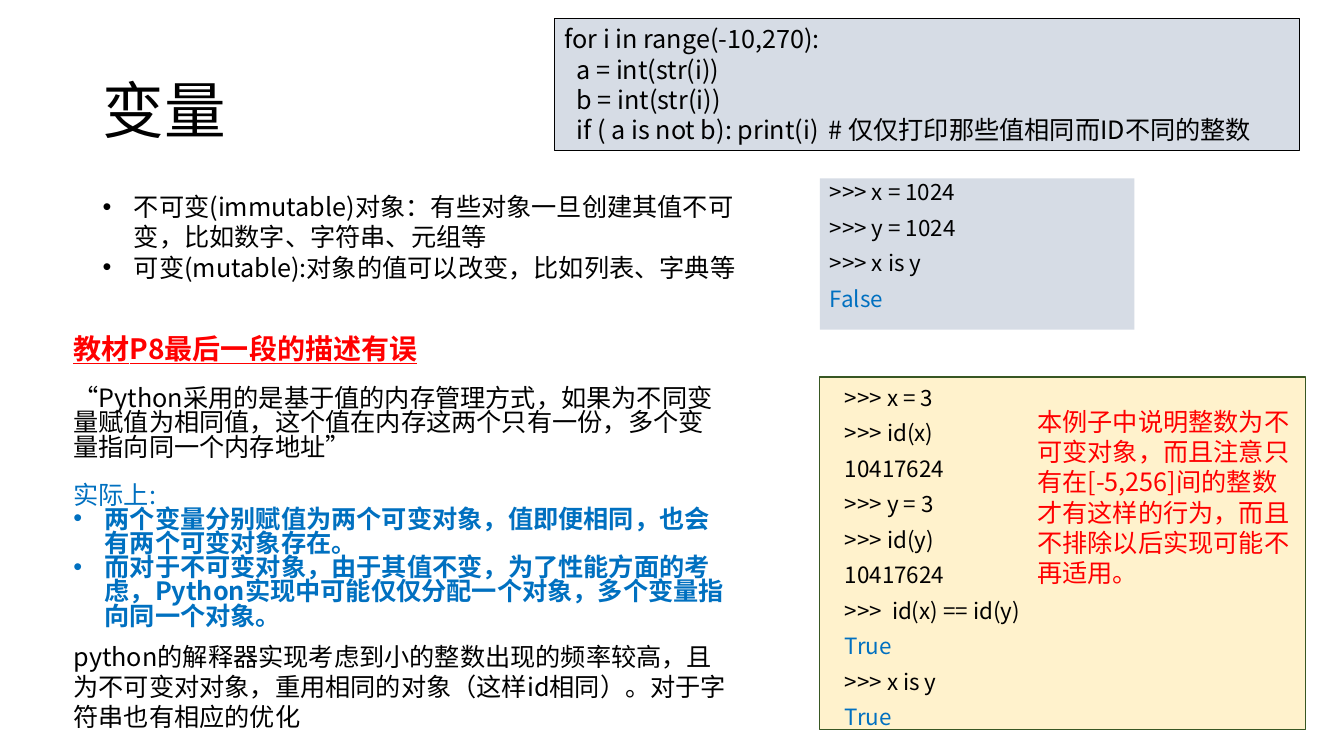
from dataclasses import dataclass
from typing import Optional

from lxml import etree
from pptx import Presentation
from pptx import util as u
from pptx.dml.color import RGBColor
from pptx.enum import shapes, text
from pptx.oxml.ns import qn

FONT = "Noto Sans CJK SC"
BLACK = RGBColor(0x00, 0x00, 0x00)
RED = RGBColor(0xFF, 0x00, 0x00)
BLUE = RGBColor(0x00, 0x70, 0xC0)
GREY = RGBColor(0xD6, 0xDC, 0xE5)
CREAM = RGBColor(0xFF, 0xF2, 0xCC)
GREEN = RGBColor(0x38, 0x57, 0x23)

WIDTH, HEIGHT = u.Inches(13.33), u.Inches(7.5)
BULLET_INDENT = u.Inches(0.31)
BODY_WIDTH = 50.04  # width of the left column, percent of the slide
LEFT, RIGHT = 4.73, 61  # left edges of the two columns, percent


@dataclass
class Para:
    text: str
    size: float = 18
    color: RGBColor = BLACK
    bold: bool = False
    underline: bool = False
    bullet: bool = False
    spacing: float = 1.0
    before: float = 0
    indent: float = 0  # inches
    tab: Optional[float] = None  # inches


@dataclass
class Box:
    """A block of text; left, top, width and height are percent of the slide."""
    left: float
    top: float
    width: float
    height: float
    paras: list[Para]
    fill: Optional[RGBColor] = None
    line: Optional[RGBColor] = None
    anchor: text.MSO_ANCHOR = text.MSO_ANCHOR.TOP


def console(*lines: str) -> list[Para]:
    """Interpreter session, with Boolean results in blue."""
    return [Para(s, 16, BLUE if s in ("True", "False") else BLACK,
                 spacing=0.8, before=10) for s in lines]


def add_para(p, para: Para) -> None:
    p.text = para.text
    p.alignment = text.PP_ALIGN.LEFT
    p.line_spacing = para.spacing
    p.space_before = u.Pt(para.before)
    font = p.font
    font.name, font.size = FONT, u.Pt(para.size)
    font.bold, font.underline = para.bold, para.underline
    font.color.rgb = para.color
    pPr = p._p.get_or_add_pPr()
    defaults = pPr.find(qn("a:defRPr"))
    etree.SubElement(defaults, qn("a:ea")).set("typeface", FONT)
    if para.bullet:
        pPr.set("marL", str(BULLET_INDENT))
        pPr.set("indent", str(-BULLET_INDENT))
        bullet_font = etree.Element(qn("a:buFont"))
        bullet_font.set("typeface", "Arial")
        bullet = etree.Element(qn("a:buChar"))
        bullet.set("char", "•")
        defaults.addprevious(bullet_font)
        defaults.addprevious(bullet)
    elif para.indent:
        pPr.set("marL", str(u.Inches(para.indent)))
        pPr.set("indent", "0")
    if para.tab:
        tabs = etree.Element(qn("a:tabLst"))
        stop = etree.SubElement(tabs, qn("a:tab"))
        stop.set("pos", str(u.Inches(para.tab)))
        stop.set("algn", "l")
        defaults.addprevious(tabs)


def add_box(slide, box: Box) -> None:
    place = (int(WIDTH * box.left / 100), int(HEIGHT * box.top / 100),
             int(WIDTH * box.width / 100), int(HEIGHT * box.height / 100))
    if box.fill is None:
        sp = slide.shapes.add_textbox(*place)
    else:
        sp = slide.shapes.add_shape(shapes.MSO_SHAPE.RECTANGLE, *place)
        sp.shadow.inherit = False
        sp.fill.solid()
        sp.fill.fore_color.rgb = box.fill
        if box.line is None:
            sp.line.fill.background()
        else:
            sp.line.color.rgb = box.line
            sp.line.width = u.Pt(0.75)
    tf = sp.text_frame
    tf.word_wrap = True
    tf.vertical_anchor = box.anchor
    for i, para in enumerate(box.paras):
        add_para(tf.add_paragraph() if i else tf.paragraphs[0], para)


BOXES = [
    # Panel behind the id() session
    Box(RIGHT, 49.87, 36.16, 46.67, [], CREAM, GREEN),
    # Title
    Box(6.9, 5.33, 86.27, 19.33, [Para("变量", 44, spacing=0.9)],
        anchor=text.MSO_ANCHOR.MIDDLE),
    # id() session and its remark
    Box(62.12, 50.8, 23.4, 46.67, console(
        ">>> x = 3", ">>> id(x)", "10417624", ">>> y = 3", ">>> id(y)",
        "10417624", ">>>  id(x) == id(y)", "True", ">>> x is y", "True")),
    Box(76.44, 53.07, 20.4, 25.6, [Para(
        "本例子中说明整数为不可变对象，而且注意只有在[-5,256]间的整数才有这样的行为，"
        "而且不排除以后实现可能不再适用。", color=RED)]),
    # Mutable and immutable objects
    Box(6.9, 24.67, BODY_WIDTH, 13.47, [
        Para("不可变(immutable)对象：有些对象一旦创建其值不可变，比如数字、字符串、元组等",
             bullet=True),
        Para("可变(mutable):对象的值可以改变，比如列表、字典等", bullet=True)]),
    # Correction of the textbook
    Box(LEFT, 44, BODY_WIDTH, 40.13, [
        Para("教材P8最后一段的描述有误", 20, RED, True, True, spacing=0.8),
        Para("“Python采用的是基于值的内存管理方式，如果为不同变量赋值为相同值，"
             "这个值在内存这两个只有一份，多个变量指向同一个内存地址”",
             spacing=0.8, before=17),
        Para("实际上:", color=BLUE, spacing=0.8, before=17),
        Para("两个变量分别赋值为两个可变对象，值即便相同，也会有两个可变对象存在。",
             color=BLUE, bold=True, bullet=True, spacing=0.8),
        Para("而对于不可变对象，由于其值不变，为了性能方面的考虑，"
             "Python实现中可能仅仅分配一个对象，多个变量指向同一个对象。",
             color=BLUE, bold=True, bullet=True, spacing=0.8)]),
    Box(LEFT, 84.13, BODY_WIDTH, 13.47, [Para(
        "python的解释器实现考虑到小的整数出现的频率较高，且为不可变对对象，"
        "重用相同的对象（这样id相同）。对于字符串也有相应的优化")]),
    # Loop that prints the integers with different ids
    Box(41.26, 2.4, 55.44, 17.47, [
        Para("for i in range(-10,270):"),
        Para("a = int(str(i))", indent=0.12),
        Para("b = int(str(i))", indent=0.12),
        Para("if ( a is not b): print(i)\t# 仅仅打印那些值相同而ID不同的整数",
             indent=0.12, tab=2.8)],
        GREY, BLACK, text.MSO_ANCHOR.MIDDLE),
    # Session with a large integer
    Box(RIGHT, 23.6, 23.4, 20,
        console(">>> x = 1024", ">>> y = 1024", ">>> x is y", "False"), GREY),
]


def main() -> None:
    prs = Presentation()
    prs.slide_width, prs.slide_height = WIDTH, HEIGHT
    slide = prs.slides.add_slide(prs.slide_layouts[6])
    for box in BOXES:
        add_box(slide, box)
    prs.save("out.pptx")


if __name__ == "__main__":
    main()
